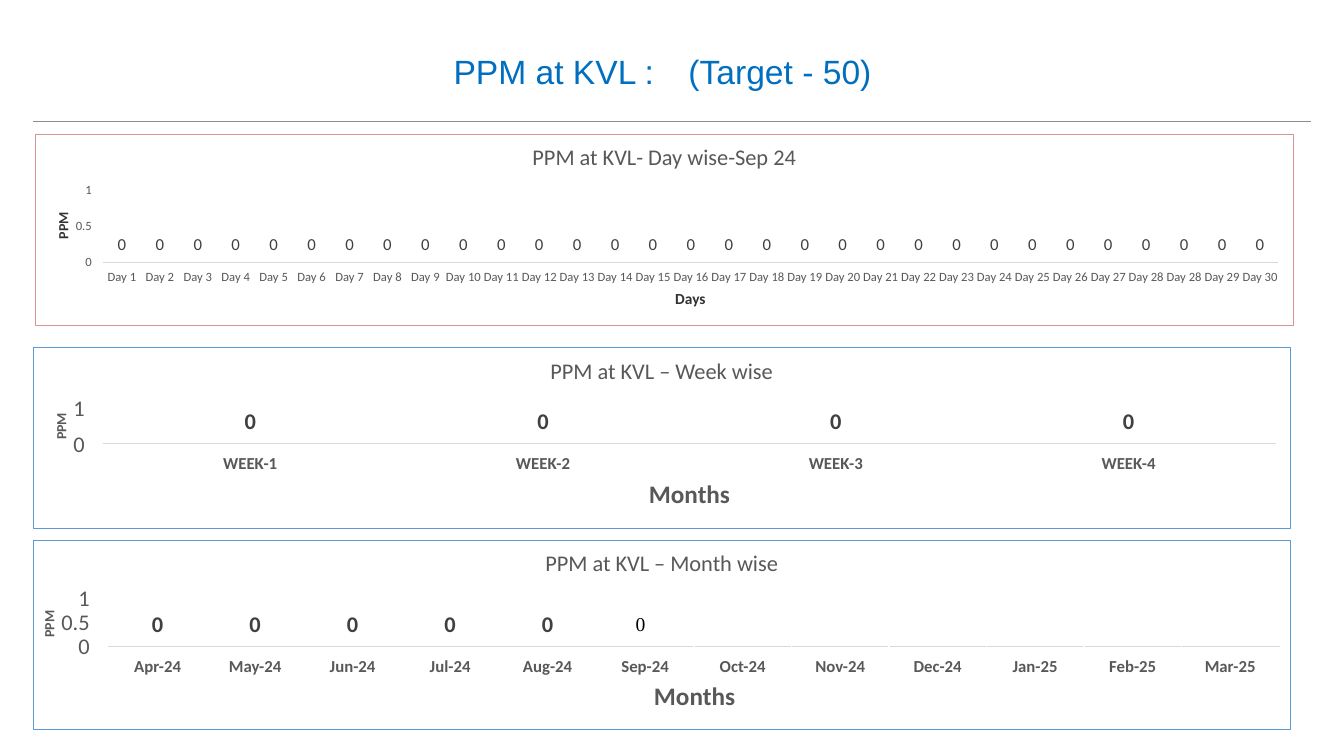
"""Build the PPM slide: day, week and month panels, on a grid of tenth-inch cells."""
from dataclasses import dataclass
from typing import Any, Optional

from lxml import etree
from pptx import Presentation, util as u
from pptx.dml import color
from pptx.enum import shapes, text
from pptx.oxml import ns

CELL = 0.1
COLUMNS, ROWS = 133.33, 75
LINE_HEIGHT = 1.22
DIGIT_DROP = 0.59
LEFT, CENTER, RIGHT = text.PP_ALIGN.LEFT, text.PP_ALIGN.CENTER, text.PP_ALIGN.RIGHT


@dataclass(frozen=True)
class Theme:
    heading_font: str = "Arial"
    body_font: str = "Calibri"
    serif_font: str = "Times New Roman"
    heading: str = "006FC0"
    label: str = "585858"
    value: str = "404040"
    strong: str = "333333"
    black: str = "000000"
    divider: str = "8E8E8E"
    axis: str = "D9D9D9"
    day_frame: str = "D99593"
    period_frame: str = "5B9BD4"
    heading_size: float = 24
    title_size: float = 16
    months_size: float = 18
    days_size: float = 11
    category_size: float = 12
    serif_size: float = 14
    ppm_size: float = 10
    small_size: float = 9
    frame_width: float = 0.72
    divider_width: float = 0.48


@dataclass(frozen=True)
class Box:
    left: float
    top: float
    width: float
    height: float


@dataclass(frozen=True)
class Panel:
    frame: Box
    frame_color: str
    title: str
    title_top: float
    ticks: tuple[str, ...]
    tick_right: float
    tick_step: float
    tick_size: float
    zero_row: float
    ppm: Box
    ppm_color: str
    axis_title: str
    axis_title_center: float
    axis_title_top: float
    axis_title_size: float
    axis_title_color: str


@dataclass(frozen=True)
class ValueTable:
    left: float
    top: float
    width: float
    categories: tuple[str, ...]
    zeros: int


THEME = Theme()
DAYS = [f"Day {day}" for day in (*range(1, 29), 28, 29, 30)]
MONTHS = tuple(f"{month}-24" for month in "Apr May Jun Jul Aug Sep Oct Nov Dec".split()) + (
    "Jan-25", "Feb-25", "Mar-25")

PANELS = [
    Panel(Box(3.5, 13.3, 124.8, 19), THEME.day_frame, "PPM at KVL- Day wise-Sep 24", 14.2,
          ("1", "0.5", "0"), 9.1, 3.57, THEME.small_size, 25.9,
          Box(5.4, 20.4, 1.7, 4), THEME.strong,
          "Days", 68.5, 28.7, THEME.days_size, THEME.strong),
    Panel(Box(3.3, 34.5, 124.7, 17.9), THEME.period_frame, "PPM at KVL – Week wise", 35.4,
          ("1", "0"), 8.4, 3.57, THEME.title_size, 44,
          Box(5.2, 40.3, 1.7, 4), THEME.label,
          "Months", 68.4, 47.4, THEME.months_size, THEME.label),
    Panel(Box(3.3, 53.6, 124.7, 18.8), THEME.period_frame, "PPM at KVL – Month wise", 54.5,
          ("1", "0.5", "0"), 8.9, 2.4, THEME.title_size, 64.1,
          Box(4, 59.9, 1.7, 4), THEME.label,
          "Months", 68.9, 67.5, THEME.months_size, THEME.label),
]
TABLES = [
    ValueTable(10.3, 40.8, 116.2, tuple(f"WEEK-{week}" for week in range(1, 5)), 4),
    ValueTable(10.8, 60.9, 116.1, MONTHS, 6),
]


def cells(count: float) -> int:
    return u.Inches(count * CELL)


def write(frame: Any, words: str, *, size: float, color_hex: str = THEME.label,
          font: str = THEME.body_font, bold: bool = False, align: Any = LEFT,
          line: Optional[float] = None, before: float = 0, more: bool = False,
          tabs: tuple[float, ...] = (), tab_align: str = "ctr") -> None:
    for index, part in enumerate(words.split("\n")):
        paragraph = frame.add_paragraph() if index or more else frame.paragraphs[0]
        paragraph.alignment = align
        if line:
            paragraph.line_spacing = u.Pt(line)
        if before:
            paragraph.space_before = u.Pt(before)
        if tabs:
            stops = etree.SubElement(paragraph._p.get_or_add_pPr(), ns.qn("a:tabLst"))
            for stop in tabs:
                etree.SubElement(stops, ns.qn("a:tab"), pos=str(cells(stop)), algn=tab_align)
        run = paragraph.add_run()
        run.text = part
        run.font.name, run.font.size, run.font.bold = font, u.Pt(size), bold
        run.font.color.rgb = color.RGBColor.from_string(color_hex)


def add_frame(slide: Any, box: Box) -> Any:
    frame = slide.shapes.add_textbox(
        cells(box.left), cells(box.top), cells(box.width), cells(box.height)).text_frame
    frame.word_wrap = True
    frame.margin_left = frame.margin_top = frame.margin_right = frame.margin_bottom = 0
    return frame


def add_rule(slide: Any, left: float, right: float, row: float, shade: str, width: float) -> None:
    rule = slide.shapes.add_connector(
        shapes.MSO_CONNECTOR.STRAIGHT, cells(left), cells(row), cells(right), cells(row))
    rule.line.color.rgb = color.RGBColor.from_string(shade)
    rule.line.width = u.Pt(width)
    etree.SubElement(rule._element.spPr, ns.qn("a:effectLst"))


def add_panel(slide: Any, panel: Panel) -> None:
    box = panel.frame
    outline = slide.shapes.add_shape(shapes.MSO_SHAPE.RECTANGLE, cells(box.left), cells(box.top),
                                     cells(box.width), cells(box.height))
    outline.shadow.inherit = False
    outline.fill.background()
    outline.line.color.rgb = color.RGBColor.from_string(panel.frame_color)
    outline.line.width = u.Pt(THEME.frame_width)
    write(add_frame(slide, Box(box.left, panel.title_top, box.width, 2.8)), panel.title,
          size=THEME.title_size, align=CENTER)
    scale_height = len(panel.ticks) * panel.tick_step
    scale_top = panel.zero_row + DIGIT_DROP * panel.tick_size / 7.2 - scale_height
    write(add_frame(slide, Box(panel.tick_right - 4, scale_top, 4, scale_height)),
          "\n".join(panel.ticks), size=panel.tick_size, align=RIGHT, line=panel.tick_step * 7.2)
    ppm = add_frame(slide, panel.ppm)
    ppm._txBody.bodyPr.set("vert", "vert270")
    write(ppm, "PPM", size=THEME.ppm_size, color_hex=panel.ppm_color, bold=True, align=CENTER)
    write(add_frame(slide, Box(panel.axis_title_center - 10, panel.axis_title_top, 20,
                               panel.axis_title_size * LINE_HEIGHT / 7.2)),
          panel.axis_title, size=panel.axis_title_size, color_hex=panel.axis_title_color,
          bold=True, align=CENTER)


def add_border(cell: Any, side: str) -> None:
    edge = etree.Element(ns.qn(f"a:{side}"), w=str(u.Pt(0.75)))
    fill = etree.SubElement(edge, ns.qn("a:solidFill"))
    etree.SubElement(fill, ns.qn("a:srgbClr"), val=THEME.axis)
    cell._tc.get_or_add_tcPr().insert(0, edge)


def add_values(slide: Any, data: ValueTable) -> None:
    count = len(data.categories)
    table = slide.shapes.add_table(2, count, cells(data.left), cells(data.top),
                                   cells(data.width), cells(6.6)).table
    table.first_row = table.horz_banding = False
    table.rows[0].height, table.rows[1].height = cells(3.2), cells(3.4)
    for index, category in enumerate(data.categories):
        table.columns[index].width = cells(data.width / count)
        for row, side in enumerate(("lnB", "lnT")):
            cell = table.cell(row, index)
            cell.margin_left = cell.margin_right = cell.margin_bottom = 0
            cell.margin_top = cells(row)
            cell.fill.background()
            add_border(cell, side)
        write(table.cell(1, index).text_frame, category, size=THEME.category_size,
              bold=True, align=CENTER)
        if index < data.zeros and not (data.zeros < count and index == data.zeros - 1):
            write(table.cell(0, index).text_frame, "0", size=THEME.title_size,
                  color_hex=THEME.value, bold=True, align=CENTER, line=17.7)
    if data.zeros < count:
        latest = table.cell(0, data.zeros - 1)
        latest.merge(table.cell(0, count - 1))
        latest.margin_left = cells(3.9)
        write(latest.text_frame, "0", size=THEME.serif_size, color_hex=THEME.black,
              font=THEME.serif_font)


def main() -> None:
    deck = Presentation()
    deck.slide_width, deck.slide_height = cells(COLUMNS), cells(ROWS)
    slide = deck.slides.add_slide(deck.slide_layouts[6])
    write(add_frame(slide, Box(45, 5.1, 50, 4.3)), "PPM at KVL :\t(Target - 50)",
          size=THEME.heading_size, color_hex=THEME.heading, font=THEME.heading_font,
          tabs=(23.3,), tab_align="l")
    add_rule(slide, 3.3, 130.1, 12, THEME.divider, THEME.divider_width)
    for panel in PANELS:
        add_panel(slide, panel)
    for data in TABLES:
        add_values(slide, data)
    add_rule(slide, 10.2, 126.8, 26, THEME.axis, THEME.frame_width)
    day_stops = tuple(1.5 + 112.9 / 30 * index for index in range(len(DAYS)))
    days = add_frame(slide, Box(10.6, 23.2, 117, 5))
    write(days, "".join("\t0" for _ in DAYS), size=THEME.category_size,
          color_hex=THEME.value, tabs=day_stops)
    write(days, "".join(f"\t{day}" for day in DAYS), size=THEME.small_size,
          before=10.8, more=True, tabs=day_stops)
    deck.save("out.pptx")


if __name__ == "__main__":
    main()
